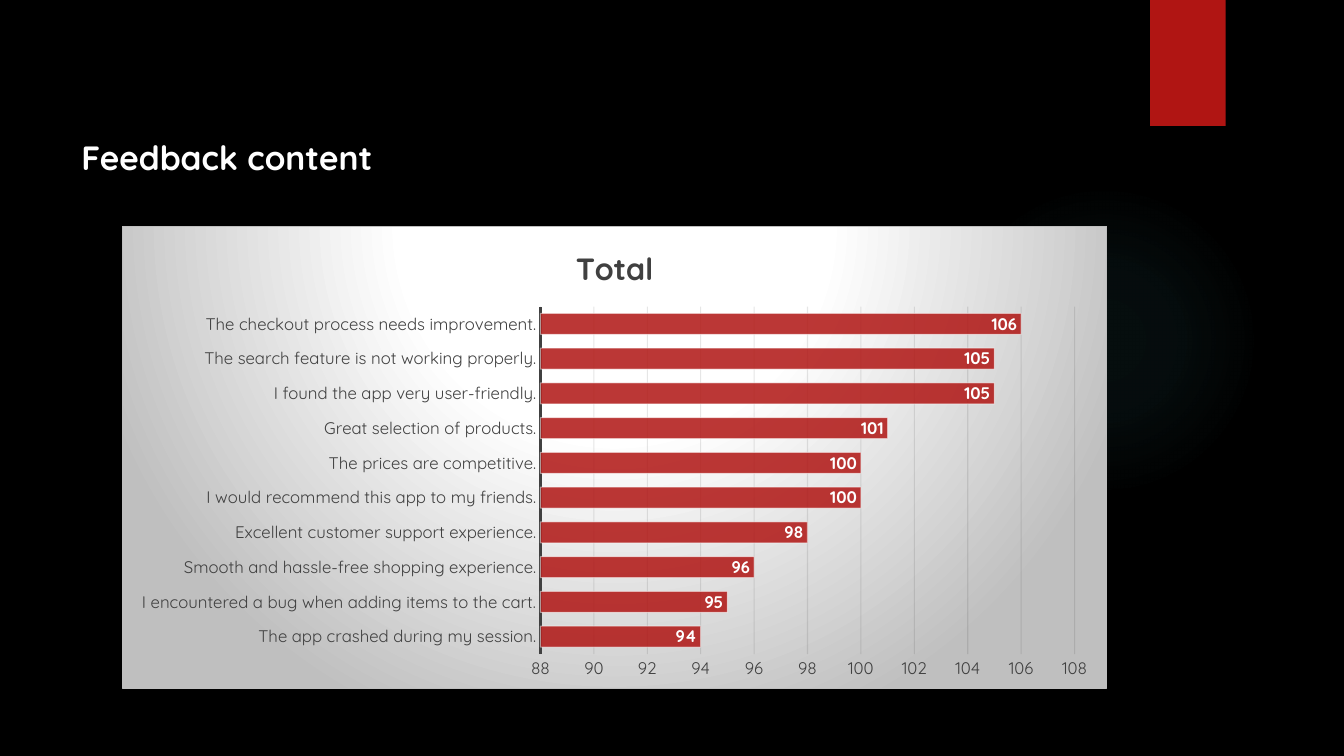
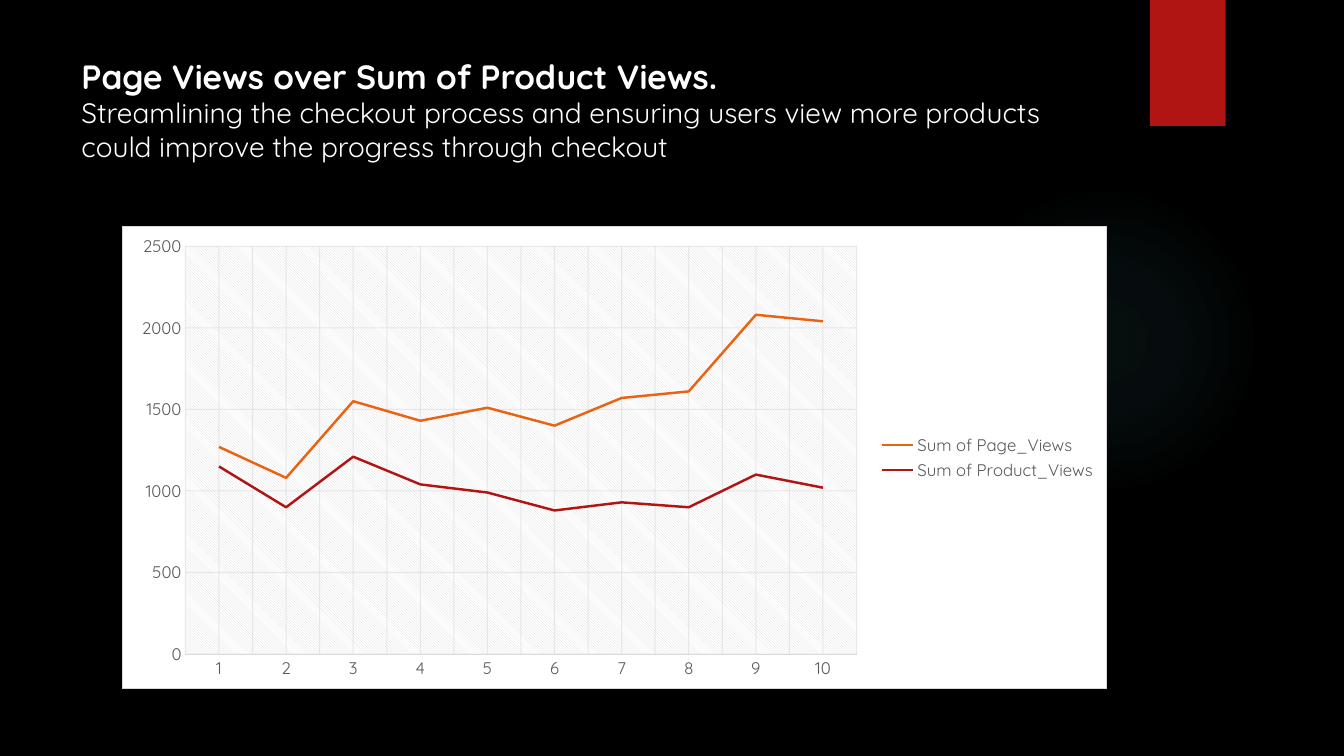
from pptx import Presentation
from pptx.chart.data import CategoryChartData
from pptx.dml.color import RGBColor
from pptx.enum.chart import (XL_CHART_TYPE, XL_LABEL_POSITION, XL_LEGEND_POSITION,
                             XL_MARKER_STYLE, XL_TICK_MARK)
from pptx.enum.shapes import MSO_SHAPE
from pptx.enum.text import MSO_ANCHOR, MSO_AUTO_SIZE, PP_ALIGN
from pptx.oxml import parse_xml
from pptx.oxml.ns import nsdecls, qn
from pptx.util import Pt

FONT = "Quicksand"
COLORS = {
    "black": "000000", "white": "FFFFFF", "red": "B01513", "orange": "EA6312",
    "teal": "50B9C1", "dark": "404040", "gray": "595959", "silver": "BFBFBF",
    "light": "D9D9D9", "ink": "0D0D0D",
}
C = {name: RGBColor.from_string(value) for name, value in COLORS.items()}


def radial(stops, rect):
    """Return gradFill XML; stops are (position, color, opacity), all in percent."""
    gs = "".join(
        f'<a:gs pos="{pos * 1000}"><a:srgbClr val="{COLORS[color]}">'
        f'<a:alpha val="{alpha * 1000}"/></a:srgbClr></a:gs>'
        for pos, color, alpha in stops)
    l, t, r, b = (v * 1000 for v in rect)
    return (f'<a:gradFill {nsdecls("a")} rotWithShape="1"><a:gsLst>{gs}</a:gsLst>'
            f'<a:path path="circle"><a:fillToRect l="{l}" t="{t}" r="{r}" b="{b}"/>'
            f'</a:path></a:gradFill>')


def fade(element, opacity):
    """Set the opacity, in percent, of the first color inside an element."""
    color = next(element.iter(qn("a:srgbClr")))
    color.append(parse_xml(f'<a:alpha {nsdecls("a")} val="{opacity * 1000}"/>'))


prs = Presentation()
prs.slide_width, prs.slide_height = Pt(960), Pt(540)

# Shared look: black background, teal glow, red tab, title place
fill = prs.slide_master.background.fill
fill.solid()
fill.fore_color.rgb = C["black"]
layout = prs.slide_layouts[5]
title = layout.placeholders[0]
title.left, title.top, title.width, title.height = Pt(51), Pt(36), Pt(741), Pt(110)

SLIDES = [
    {
        "title": [("Feedback content", 24, True)],
        "title_inset": 62,
        "type": XL_CHART_TYPE.BAR_CLUSTERED,
        "cats": [
            "The app crashed during my session.",
            "I encountered a bug when adding items to the cart.",
            "Smooth and hassle-free shopping experience.",
            "Excellent customer support experience.",
            "I would recommend this app to my friends.",
            "The prices are competitive.",
            "Great selection of products.",
            "I found the app very user-friendly.",
            "The search feature is not working properly.",
            "The checkout process needs improvement.",
        ],
        "series": [("Total", [94, 95, 96, 98, 100, 100, 101, 105, 105, 106])],
        "scale": (88, 108, 2),
        "text": "dark", "axis": ("dark", 1.5), "grid": ("ink", 10), "border": "silver",
        "fill": radial([(0, "white", 100), (39, "white", 100), (100, "silver", 100)],
                       (50, -80, 50, 180)),
    },
    {
        "title": [
            ("Page Views over Sum of Product Views.", 24, True),
            ("Streamlining the checkout process and ensuring users view more products "
             "could improve the progress through checkout", 20, False),
        ],
        "title_inset": 3.6,
        "type": XL_CHART_TYPE.LINE_STACKED,
        "cats": [str(n) for n in range(1, 11)],
        "series": [
            ("Sum of Product_Views",
             [1150, 900, 1210, 1040, 990, 880, 930, 900, 1100, 1020]),
            ("Sum of Page_Views",
             [120, 180, 340, 390, 520, 520, 640, 710, 980, 1020]),
        ],
        "scale": (0, 2500, 500),
        "text": "gray", "axis": ("light", 0.75), "grid": ("light", 54), "border": "light",
        "fill": f'<a:solidFill><a:srgbClr val="{COLORS["white"]}"/></a:solidFill>',
    },
]

charts = []
for item in SLIDES:
    s = prs.slides.add_slide(layout)
    tf = s.shapes.title.text_frame
    tf.word_wrap = True
    tf.auto_size = MSO_AUTO_SIZE.NONE
    tf.vertical_anchor = MSO_ANCHOR.TOP
    tf.margin_top = Pt(item["title_inset"])
    p = tf.paragraphs[0]
    p.alignment = PP_ALIGN.LEFT
    for i, (text, size, bold) in enumerate(item["title"]):
        if i:
            p.add_line_break()
        r = p.add_run()
        r.text = text
        r.font.name, r.font.size, r.font.bold = FONT, Pt(size), bold
        r.font.color.rgb = C["white"]

    data = CategoryChartData()
    data.categories = item["cats"]
    for name, values in item["series"]:
        data.add_series(name, values)
    chart = s.shapes.add_chart(item["type"], Pt(87), Pt(161.5), Pt(704), Pt(330.5),
                               data).chart
    charts.append(chart)
    chart.font.name, chart.font.size = FONT, Pt(10)
    chart.font.color.rgb = C["white"]
    chart.has_title = chart.has_legend = False
    chart.plots[0].vary_by_categories = False
    chart._chartSpace.find(qn("c:txPr")).addprevious(parse_xml(
        f'<c:spPr {nsdecls("c", "a")}>{item["fill"]}<a:ln w="9525"><a:solidFill>'
        f'<a:srgbClr val="{COLORS[item["border"]]}"/></a:solidFill></a:ln></c:spPr>'))

    cat, val = chart.category_axis, chart.value_axis
    val.minimum_scale, val.maximum_scale, val.major_unit = item["scale"]
    cat.has_major_gridlines = cat.has_minor_gridlines = (
        item["type"] == XL_CHART_TYPE.LINE_STACKED)
    val.has_major_gridlines = True
    for axis in (cat, val):
        axis.major_tick_mark = axis.minor_tick_mark = XL_TICK_MARK.NONE
        font = axis.tick_labels.font
        font.name, font.size = FONT, Pt(12)
        font.color.rgb = C[item["text"]]
    color, width = item["axis"]
    cat.format.line.color.rgb = C[color]
    cat.format.line.width = Pt(width)
    val.format.line.fill.background()

    color, opacity = item["grid"]
    grids = [val.major_gridlines]
    if cat.has_major_gridlines:
        grids += [cat.major_gridlines, cat.minor_gridlines] if hasattr(
            cat, "minor_gridlines") else [cat.major_gridlines]
    for grid in grids:
        line = grid.format.line
        line.color.rgb = C[color]
        line.width = Pt(0.75)
        fade(line._ln, opacity)

bars, lines = charts

# Feedback bars
bars.has_title = True
r = bars.chart_title.text_frame.paragraphs[0].add_run()
r.text = "Total"
r.font.name, r.font.size, r.font.bold = FONT, Pt(22), True
r.font.color.rgb = C["dark"]
plot = bars.plots[0]
plot.gap_width = 65
total = plot.series[0]
total.format.fill.solid()
total.format.fill.fore_color.rgb = C["red"]
fade(total._element, 85)
total.format.line.color.rgb = C["white"]
total.format.line.width = Pt(0.75)
fade(total.format.line._ln, 50)
labels = total.data_labels
labels.show_value = True
labels.position = XL_LABEL_POSITION.INSIDE_END
labels.font.name, labels.font.size, labels.font.bold = FONT, Pt(12), True
labels.font.color.rgb = C["white"]

# View lines
lines.has_legend = True
legend = lines.legend
legend.position = XL_LEGEND_POSITION.RIGHT
legend.include_in_layout = False
legend.font.name, legend.font.size = FONT, Pt(12)
legend.font.color.rgb = C["gray"]
for series, color in zip(lines.plots[0].series, ("red", "orange")):
    series.smooth = False
    series.marker.style = XL_MARKER_STYLE.NONE
    series.format.line.color.rgb = C[color]
    series.format.line.width = Pt(1.75)
minor = lines.category_axis._element.find(qn("c:minorGridlines"))
minor.append(parse_xml(
    f'<c:spPr {nsdecls("c", "a")}><a:ln w="9525"><a:solidFill>'
    f'<a:srgbClr val="{COLORS["light"]}"/></a:solidFill></a:ln></c:spPr>'))
fade(minor, 54)
lines._chartSpace.chart.plotArea.append(parse_xml(
    f'<c:spPr {nsdecls("c", "a")}><a:pattFill prst="ltDnDiag">'
    f'<a:fgClr><a:srgbClr val="{COLORS["light"]}"/></a:fgClr>'
    f'<a:bgClr><a:srgbClr val="{COLORS["white"]}"/></a:bgClr></a:pattFill></c:spPr>'))

# Decoration is drawn on a slide, then moved to the layout that both slides share
shapes = prs.slides[0].shapes
glow = shapes.add_shape(MSO_SHAPE.OVAL, Pt(677.5), Pt(132), Pt(222), Pt(222))
tab = shapes.add_shape(MSO_SHAPE.RECTANGLE, Pt(821.5), Pt(0), Pt(54), Pt(90))
tab.fill.solid()
tab.fill.fore_color.rgb = C["red"]
glow._element.spPr.find(qn("a:prstGeom")).addnext(parse_xml(
    radial([(0, "teal", 7), (36, "teal", 6), (69, "teal", 0)], (50, 50, 50, 50))))
for shape in (glow, tab):
    shape.line.fill.background()
    shape.shadow.inherit = False
    layout.shapes._spTree.append(shape._element)

prs.save("out.pptx")
